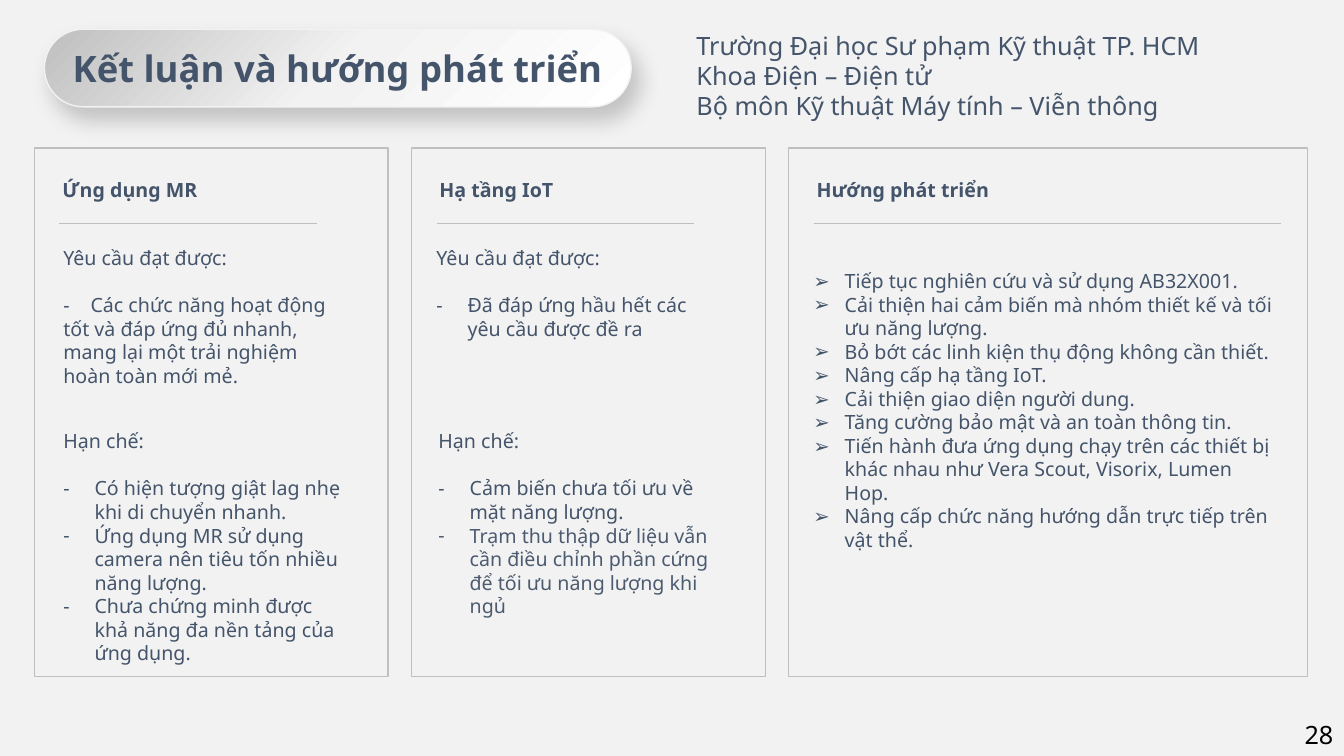
from pptx import Presentation
from pptx import util as u
from pptx.dml.color import RGBColor
from pptx.enum import shapes, text
from pptx.oxml import parse_xml
from pptx.oxml.ns import nsdecls, qn
from lxml import etree

NAVY = RGBColor(0x44, 0x54, 0x6A)
SLATE = RGBColor(0x4C, 0x5B, 0x70)
GREY = RGBColor(0xBF, 0xBF, 0xBF)
PALE = RGBColor(0xF2, 0xF2, 0xF2)
BLACK = RGBColor(0, 0, 0)
FONT = "Noto Sans"
LEADING = 1.2
HANG = u.Inches(0.31)

prs = Presentation()
prs.slide_width, prs.slide_height = u.Inches(13.33), u.Inches(7.5)
s = prs.slides.add_slide(prs.slide_layouts[6])
s.background.fill.solid()
s.background.fill.fore_color.rgb = PALE


def add_run(p, words, size, color=NAVY, bold=False):
    p.line_spacing = u.Pt(size * LEADING)
    r = p.add_run()
    r.text = words
    r.font.name, r.font.size, r.font.bold = FONT, u.Pt(size), bold
    r.font.color.rgb = color


def add_box(x, y, w, h, lines, size=14, color=NAVY, bold=False, bullet=None, label=False):
    tf = s.shapes.add_textbox(*map(u.Inches, (x, y, w, h))).text_frame
    tf.word_wrap = True
    for i, line in enumerate(lines):
        p = tf.paragraphs[0] if i == 0 else tf.add_paragraph()
        pPr = p._p.get_or_add_pPr()
        if "\t" in line:
            tabs = etree.SubElement(pPr, qn("a:tabLst"))
            etree.SubElement(tabs, qn("a:tab"), pos=str(u.Inches(0.27)), algn="l")
        elif bullet and not (label and i == 0):
            pPr.set("marL", str(HANG))
            pPr.set("indent", str(-HANG))
            etree.SubElement(pPr, qn("a:buFont"), typeface=FONT)
            etree.SubElement(pPr, qn("a:buChar"), char=bullet)
        if label and i == 1:
            p.space_before = u.Pt(size * LEADING)
        add_run(p, line, size, SLATE if line.startswith("Trạm") else color, bold)


sp = s.shapes.add_shape(shapes.MSO_SHAPE.ROUNDED_RECTANGLE,
                        *map(u.Inches, (0.44, 0.29, 5.82, 0.77)))
sp.adjustments[0] = 0.5
sp.line.color.rgb, sp.line.width = PALE, u.Pt(1)
stops = "".join(f'<a:gs pos="{pos}"><a:srgbClr val="{c}"/></a:gs>'
                for pos, c in ((0, GREY), (50000, PALE), (100000, "FFFFFF")))
spPr = sp._element.spPr
spPr.insert(2, parse_xml(
    f'<a:gradFill {nsdecls("a")}><a:gsLst>{stops}</a:gsLst>'
    '<a:lin ang="2700000" scaled="0"/></a:gradFill>'))
spPr.append(parse_xml(
    f'<a:effectLst {nsdecls("a")}><a:outerShdw blurRad="{u.Pt(15)}" dist="{u.Pt(10)}" '
    'dir="3540000" algn="tl" rotWithShape="0"><a:srgbClr val="000000">'
    '<a:alpha val="20000"/></a:srgbClr></a:outerShdw></a:effectLst>'))
tf = sp.text_frame
tf.vertical_anchor = text.MSO_ANCHOR.MIDDLE
p = tf.paragraphs[0]
p.alignment = text.PP_ALIGN.CENTER
add_run(p, "Kết luận và hướng phát triển", 26, bold=True)

add_box(6.81, 0.25, 5.33, 1.01, [
    "Trường Đại học Sư phạm Kỹ thuật TP. HCM",
    "Khoa Điện – Điện tử",
    "Bộ môn Kỹ thuật Máy tính – Viễn thông"], size=18)

TOP, HEIGHT, GAP, PAD = 1.47, 5.24, 0.23, 0.25
RULE_Y = TOP + 0.75
columns = [
    ("Ứng dụng MR", 3.51, 2.55, [
        (0.19, 2.39, 3.04, 1.51, "-", True, [
            "Yêu cầu đạt được:",
            "-\tCác chức năng hoạt động tốt và đáp ứng đủ nhanh, "
            "mang lại một trải nghiệm hoàn toàn mới mẻ."]),
        (0.19, 4.21, 3.04, 2.5, "-", True, [
            "Hạn chế:",
            "Có hiện tượng giật lag nhẹ khi di chuyển nhanh.",
            "Ứng dụng MR sử dụng camera nên tiêu tốn nhiều năng lượng.",
            "Chưa chứng minh được khả năng đa nền tảng của ứng dụng."])]),
    ("Hạ tầng IoT", 3.51, 2.55, [
        (0.15, 2.39, 3.06, 1.82, "-", True, [
            "Yêu cầu đạt được:",
            "Đã đáp ứng hầu hết các yêu cầu được đề ra"]),
        (0.17, 4.21, 3.04, 2.5, "-", True, [
            "Hạn chế:",
            "Cảm biến chưa tối ưu về mặt năng lượng.",
            "Trạm thu thập dữ liệu vẫn cần điều chỉnh phần cứng "
            "để tối ưu năng lượng khi ngủ"])]),
    ("Hướng phát triển", 5.15, 4.64, [
        (0.15, 2.62, 4.83, 3.27, "➢", False, [
            "Tiếp tục nghiên cứu và sử dụng AB32X001.",
            "Cải thiện hai cảm biến mà nhóm thiết kế và tối ưu năng lượng.",
            "Bỏ bớt các linh kiện thụ động không cần thiết.",
            "Nâng cấp hạ tầng IoT.",
            "Cải thiện giao diện người dung.",
            "Tăng cường bảo mật và an toàn thông tin.",
            "Tiến hành đưa ứng dụng chạy trên các thiết bị khác nhau "
            "như Vera Scout, Visorix, Lumen Hop.",
            "Nâng cấp chức năng hướng dẫn trực tiếp trên vật thể."])]),
]

x = 0.34
for heading, width, rule, blocks in columns:
    sp = s.shapes.add_shape(shapes.MSO_SHAPE.RECTANGLE,
                            *map(u.Inches, (x, TOP, width, HEIGHT)))
    sp.shadow.inherit = False
    sp.fill.background()
    sp.line.color.rgb, sp.line.width = GREY, u.Pt(1)
    ln = s.shapes.add_connector(
        shapes.MSO_CONNECTOR.STRAIGHT,
        *map(u.Inches, (x + PAD, RULE_Y, x + PAD + rule, RULE_Y)))
    ln.line.color.rgb, ln.line.width = GREY, u.Pt(0.5)
    etree.SubElement(ln._element.spPr, qn("a:effectLst"))
    add_box(x + 0.18, TOP + PAD, 2.48, 0.33, [heading], bold=True)
    for dx, y, w, h, bullet, label, lines in blocks:
        add_box(x + dx, y, w, h, lines, bullet=bullet, label=label)
    x += width + GAP

add_box(12.84, 7.09, 0.5, 0.4, ["28"], size=18, color=BLACK)

prs.save("out.pptx")
